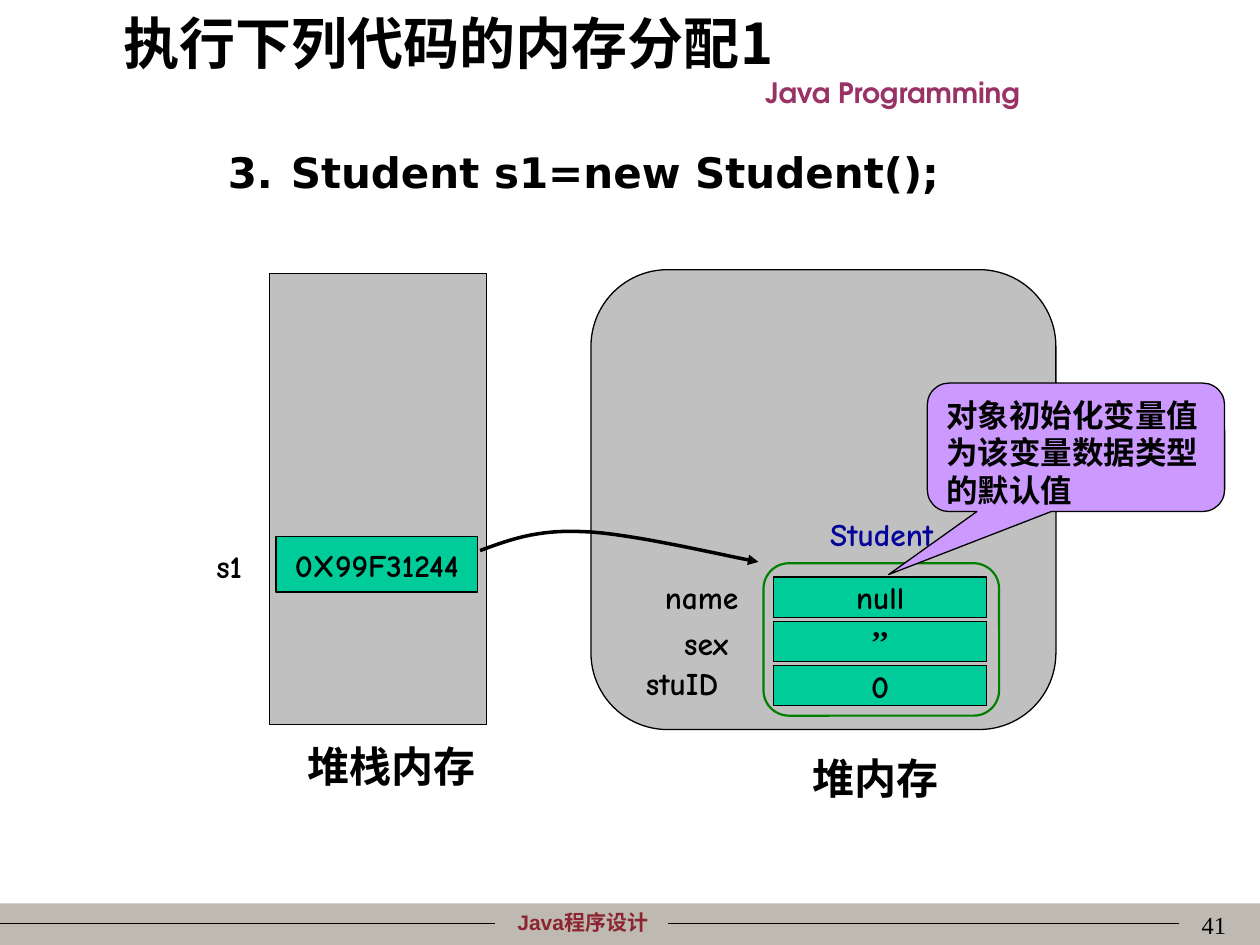
from lxml import etree
from pptx import Presentation
from pptx.dml.color import RGBColor
from pptx.enum.shapes import MSO_CONNECTOR, MSO_SHAPE
from pptx.enum.text import MSO_ANCHOR, MSO_AUTO_SIZE, PP_ALIGN
from pptx.oxml.ns import qn
from pptx.util import Inches, Pt

LEFT, MID, RIGHT = PP_ALIGN.LEFT, PP_ALIGN.CENTER, PP_ALIGN.RIGHT
TOP, CORE, BASE = MSO_ANCHOR.TOP, MSO_ANCHOR.MIDDLE, MSO_ANCHOR.BOTTOM
FIT = MSO_AUTO_SIZE.SHAPE_TO_FIT_TEXT
FIXED = MSO_AUTO_SIZE.NONE
STRAIGHT = MSO_CONNECTOR.STRAIGHT
RECT, ROUND = MSO_SHAPE.RECTANGLE, MSO_SHAPE.ROUNDED_RECTANGLE
BUBBLE = MSO_SHAPE.ROUNDED_RECTANGULAR_CALLOUT

BLACK = RGBColor(0x00, 0x00, 0x00)
GRAY = RGBColor(0xC0, 0xC0, 0xC0)
SAND = RGBColor(0xBF, 0xBA, 0xB1)
TEAL = RGBColor(0x00, 0xCC, 0x99)
GREEN = RGBColor(0x00, 0x80, 0x00)
LILAC = RGBColor(0xCC, 0x99, 0xFF)
NAVY = RGBColor(0x04, 0x04, 0x9A)
PLUM = RGBColor(0x99, 0x33, 0x66)
WINE = RGBColor(0x8C, 0x25, 0x32)

HAND, CODE, HAN = "Comic Neue", "DejaVu Sans", "Noto Sans CJK SC"
SERIF = "Times New Roman"
WIDE, HIGH = Inches(10), Inches(7.5)
COLS, ROWS = 10, 7.5


def cell(box, x, y, w, h):
    return box[0] + x, box[1] + y, w, h


def scale(box):
    x, y, w, h = box
    col, row = WIDE / COLS, HIGH / ROWS
    return int(x * col), int(y * row), int(w * col), int(h * row)


def write(shape, text, size, font=HAND, color=BLACK, bold=True,
          align=LEFT, anchor=TOP, fit=FIXED):
    frame = shape.text_frame
    frame.word_wrap = True
    frame.auto_size = fit
    frame.vertical_anchor = anchor
    para = frame.paragraphs[0]
    para.alignment = align
    run = para.add_run()
    run.text = text
    run.font.size, run.font.name, run.font.bold = Pt(size), font, bold
    run.font.color.rgb = color
    east = etree.SubElement(run.font._element, qn("a:ea"))
    east.set("typeface", HAN)
    return para


def label(slide, box, text, size, fit=FIT, **style):
    shape = slide.shapes.add_textbox(*scale(box))
    return write(shape, text, size, fit=fit, **style)


def block(slide, kind, box, fill, edge=BLACK, width=0.75):
    shape = slide.shapes.add_shape(kind, *scale(box))
    shape.shadow.inherit = False
    shape.fill.solid()
    shape.fill.fore_color.rgb = fill
    if edge is None:
        shape.line.fill.background()
    else:
        shape.line.color.rgb = edge
        shape.line.width = Pt(width)
    return shape


def rule(slide, box):
    x, y, w, h = scale(box)
    line = slide.shapes.add_connector(STRAIGHT, x, y, x + w, y + h)
    line.line.color.rgb = BLACK
    line.line.width = Pt(0.75)
    etree.SubElement(line._element.spPr, qn("a:effectLst"))


def footer(slide, box):
    block(slide, RECT, box, SAND, None)
    label(slide, cell(box, 3.62, 0, 2.01, 0.3), "Java程序设计", 12,
          font="Arial", color=WINE, align=MID)
    for x, w in ((0, 3.93), (5.3, 4.06)):
        rule(slide, cell(box, x, 0.16, w, 0))
    label(slide, cell(box, 7.75, 0, 2.08, 0.5), "41", 14, fit=FIXED,
          font=SERIF, bold=False, align=RIGHT)


def header(slide, box):
    title = slide.shapes.title
    title.left, title.top, title.width, title.height = scale(
        cell(box, 0.88, 0.02, 7.93, 0.63))
    write(title, "执行下列代码的内存分配1", 32, font=HAN, anchor=BASE, fit=FIT)
    label(slide, cell(box, 5.08, 0.55, 4.01, 0.37), "Java Programming", 16,
          font="TeX Gyre Adventor", color=PLUM, align=MID)


def step(slide, box):
    para = label(slide, box, "Student s1=new Student();", 24, font=CODE)
    props = para._p.get_or_add_pPr()
    props.set("marL", str(Inches(0.5)))
    props.set("indent", str(-Inches(0.5)))
    mark = etree.SubElement(props, qn("a:buAutoNum"))
    mark.set("type", "arabicPeriod")
    mark.set("startAt", "3")


def stack(slide, box):
    block(slide, RECT, box, GRAY)
    label(slide, cell(box, 0, 3.66, 1.94, 0.5), "堆栈内存", 24, align=MID)
    slot = block(slide, RECT, cell(box, 0.05, 2.09, 1.6, 0.44), TEAL)
    write(slot, "0X99F31244", 18, align=MID, anchor=CORE)
    label(slide, cell(box, -1.15, 2.12, 1.03, 0.4), "s1", 18, align=RIGHT)


def heap(slide, box):
    block(slide, ROUND, box, GRAY)
    label(slide, cell(box, 0.81, 3.78, 2.89, 0.5), "堆内存", 24, align=MID)
    student(slide, cell(box, 1.37, 2.33, 1.87, 1.21))


def student(slide, box):
    block(slide, ROUND, box, GRAY, GREEN, 1.25)
    fields = (
        ("name", "null", HAND, -0.1, 0.07),
        ("sex", "’’", SERIF, -0.18, 0.43),
        ("stuID", "0", HAND, -0.26, 0.75),
    )
    for row, (name, value, font, end, top) in enumerate(fields):
        slot = block(slide, RECT,
                     cell(box, 0.08, 0.11 + 0.35 * row, 1.69, 0.32), TEAL)
        write(slot, value, 18, font=font, align=MID, anchor=CORE)
        label(slide, cell(box, end - 1, top, 1, 0.4), name, 18, align=RIGHT)
    label(slide, cell(box, 0.43, -0.43, 1.02, 0.4), "Student", 18, color=NAVY)


def curve(a, b, c, d, steps=16):
    for i in range(1, steps + 1):
        t = i / steps
        u = 1 - t
        yield tuple(u**3 * p + 3 * u * u * t * q + 3 * u * t * t * r + t**3 * s
                    for p, q, r, s in zip(a, b, c, d))


def arrow(slide, box):
    def spot(x, y):
        return scale(cell(box, x, y, 0, 0))[:2]

    start, peak, end = spot(0, 0.17), spot(0.82, 0.02), spot(2.21, 0.26)
    pen = slide.shapes.build_freeform(*start)
    for bend in ((start, spot(0.22, 0.09), spot(0.45, 0), peak),
                 (peak, spot(1.19, 0.03), spot(1.98, 0.22), end)):
        pen.add_line_segments(list(curve(*bend)), close=False)
    shape = pen.convert_to_shape()
    shape.shadow.inherit = False
    shape.fill.background()
    shape.line.color.rgb = BLACK
    shape.line.width = Pt(2)
    tip = etree.SubElement(shape.line._get_or_add_ln(), qn("a:tailEnd"))
    tip.set("type", "triangle")


def note(slide, box):
    shape = block(slide, BUBBLE, box, LILAC)
    for i, value in enumerate((-0.63, 0.99, 0.17)):
        shape.adjustments[i] = value
    write(shape, "对象初始化变量值为该变量数据类型的默认值", 18, font=CODE)


def main():
    deck = Presentation()
    deck.slide_width, deck.slide_height = WIDE, HIGH
    slide = deck.slides.add_slide(deck.slide_layouts[5])
    footer(slide, (0, 7.17, COLS, 0.33))
    header(slide, (0, 0, COLS, 1))
    heap(slide, (4.69, 2.14, 3.69, 3.65))
    stack(slide, (2.14, 2.17, 1.72, 3.58))
    arrow(slide, (3.81, 4.2, 2.22, 0.26))
    step(slide, (1.71, 1.11, 6.43, 0.5))
    note(slide, (7.36, 3.04, 2.36, 1.02))
    deck.save("out.pptx")


if __name__ == "__main__":
    main()
